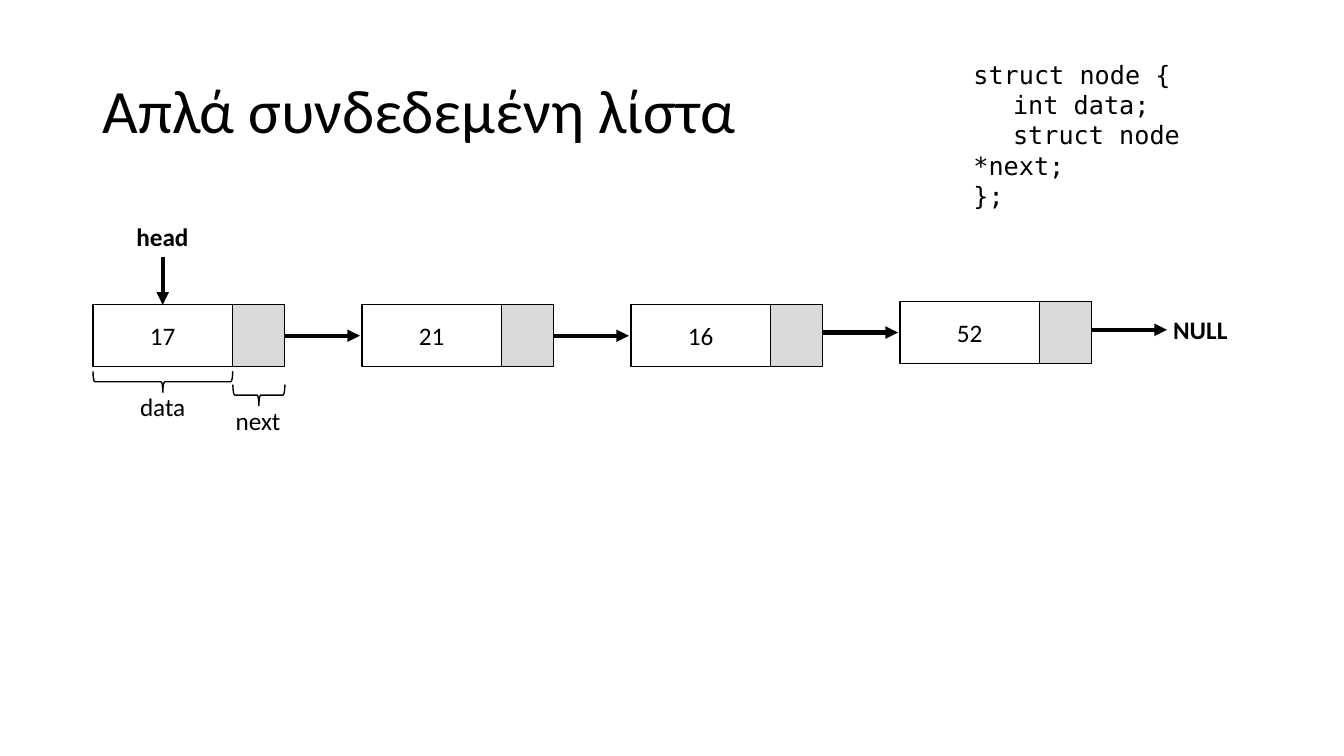
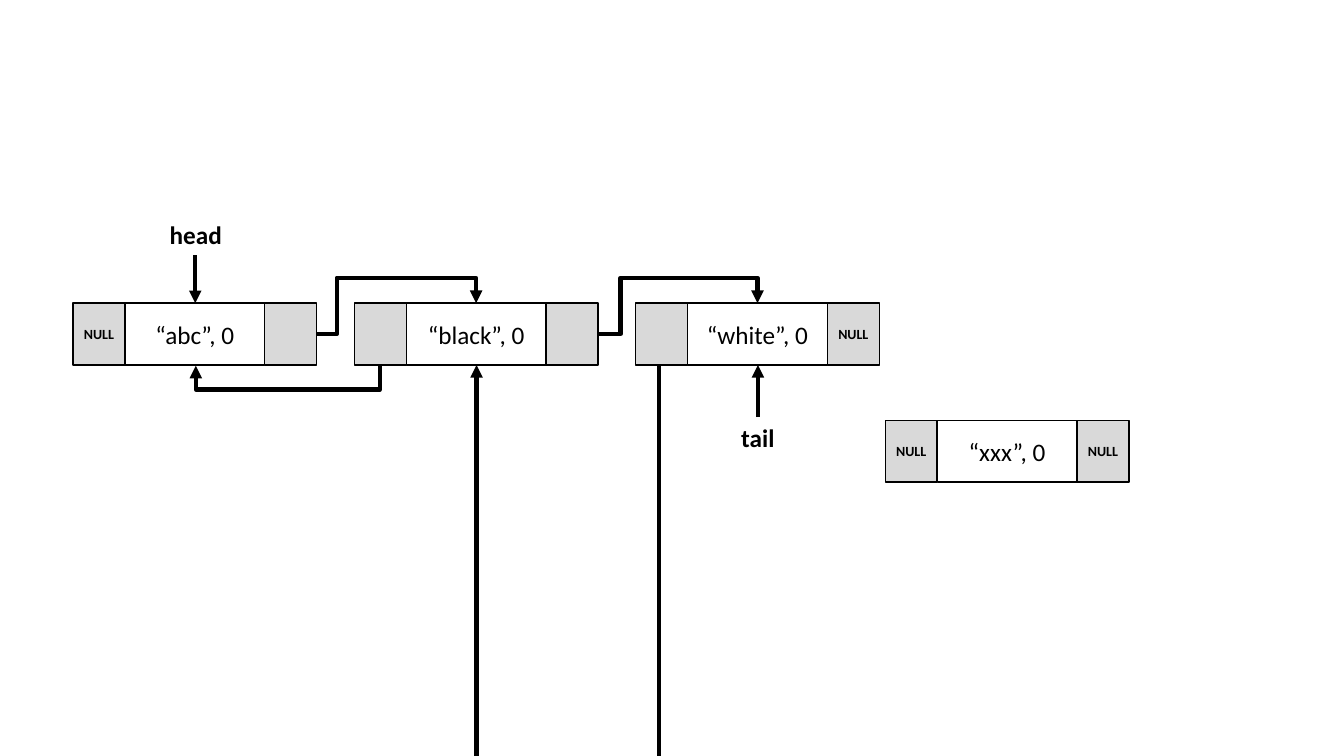
from lxml import etree
from pptx import Presentation
from pptx.dml.color import RGBColor
from pptx.enum.shapes import MSO_CONNECTOR, MSO_SHAPE
from pptx.enum.text import MSO_ANCHOR, MSO_AUTO_SIZE, PP_ALIGN
from pptx.oxml.ns import qn
from pptx.util import Cm, Pt

RECTANGLE, BRACE = MSO_SHAPE.RECTANGLE, MSO_SHAPE.LEFT_BRACE
STRAIGHT, ELBOW = MSO_CONNECTOR.STRAIGHT, MSO_CONNECTOR.ELBOW
LEFT, CENTER = PP_ALIGN.LEFT, PP_ALIGN.CENTER
TOP, MIDDLE = MSO_ANCHOR.TOP, MSO_ANCHOR.MIDDLE
NO_FIT = MSO_AUTO_SIZE.NONE
BLACK, WHITE, GRAY = "000000", "FFFFFF", "D9D9D9"
BODY_FONT, CODE_FONT = "Calibri", "DejaVu Sans Mono"
DATA_WIDTH, POINTER_WIDTH, NODE_HEIGHT = 3.52, 1.31, 1.56
TOP_SITE, BOTTOM_SITE, RIGHT_SITE = 0, 2, 3


def write_text(shape, lines, size=18, bold=False, font=BODY_FONT, alignment=CENTER,
               anchor=MIDDLE, wrap=True):
    frame = shape.text_frame
    frame.text = "\n".join(lines)
    for name, value in {"word_wrap": wrap, "auto_size": NO_FIT,
                        "vertical_anchor": anchor}.items():
        setattr(frame, name, value)
    for paragraph in frame.paragraphs:
        paragraph.alignment = alignment
        for name, value in {"name": font, "size": Pt(size), "bold": bold}.items():
            setattr(paragraph.font, name, value)
        paragraph.font.color.rgb = RGBColor.from_string(BLACK)


def style_connector(connector, arrowhead=True):
    connector.line.width = Pt(3)
    connector.line.color.rgb = RGBColor.from_string(BLACK)
    properties = connector.element.spPr
    if arrowhead:
        outline = properties.find(qn("a:ln"))
        etree.SubElement(outline, qn("a:tailEnd"), type="triangle")
    etree.SubElement(properties, qn("a:effectLst"))


presentation = Presentation()
presentation.slide_width, presentation.slide_height = Cm(33.87), Cm(19.05)
layouts = presentation.slide_layouts
single_list = presentation.slides.add_slide(layouts[5])
double_list = presentation.slides.add_slide(layouts[6])

title = single_list.shapes.title
for name, value in {"left": 2.33, "top": 1.01, "width": 29.21, "height": 3.68}.items():
    setattr(title, name, Cm(value))
write_text(title, ["Απλά συνδεδεμένη λίστα"], size=44, alignment=LEFT)
title.text_frame.paragraphs[0].line_spacing = 0.9

code = single_list.shapes.add_textbox(Cm(24.28), Cm(1.37), Cm(7.85), Cm(3.33))
write_text(code, ["struct node {", "int data;", "struct node *next;", "};"],
           font=CODE_FONT, alignment=LEFT, anchor=TOP)
for paragraph in code.text_frame.paragraphs[1:3]:
    paragraph.font.language_id = None
    paragraph._p.get_or_add_pPr().set("indent", str(Cm(1)))

nodes = [(single_list, 2.34 + 6.78 * index, top, [(value, True), ("", False)])
         for index, (value, top) in enumerate(
             [("17", 7.68), ("21", 7.68), ("16", 7.68), ("52", 7.6)])]
nodes += [(double_list, left, top, [(previous, False), (value, True), (following, False)])
          for left, top, previous, value, following in [
              (1.84, 7.64, "NULL", "“abc”, 0", ""),
              (8.93, 7.64, "", "“black”, 0", ""),
              (16.02, 7.64, "", "“white”, 0", "NULL"),
              (22.31, 10.59, "NULL", "“xxx”, 0", "NULL")]]

node_cells = []
for slide, left, top, cells in nodes:
    group = slide.shapes.add_group_shape()
    shapes = []
    for text, is_data in cells:
        width = DATA_WIDTH if is_data else POINTER_WIDTH
        cell = group.shapes.add_shape(RECTANGLE, Cm(left), Cm(top), Cm(width), Cm(NODE_HEIGHT))
        cell.shadow.inherit = False
        cell.fill.solid()
        cell.fill.fore_color.rgb = RGBColor.from_string(WHITE if is_data else GRAY)
        cell.line.color.rgb = RGBColor.from_string(BLACK)
        cell.line.width = Pt(1)
        cell.text_frame.margin_left = cell.text_frame.margin_right = 0
        if text:
            write_text(cell, [text], size=18 if is_data else 10, bold=not is_data)
        shapes.append(cell)
        left += width
    node_cells.append(shapes)

for left, top, width, height in [(3.84, 7.86, 0.53, 3.52), (6.26, 9.3, 0.53, 1.31)]:
    brace = single_list.shapes.add_shape(BRACE, Cm(left), Cm(top), Cm(width), Cm(height))
    brace.rotation = 270
    brace.shadow.inherit = False
    brace.fill.background()
    brace.line.color.rgb = RGBColor.from_string(BLACK)
    brace.line.width = Pt(1)

labels = [
    (single_list, "NULL", 29.31, 7.8, 1.88, True),
    (single_list, "head", 3.18, 5.44, 1.83, True),
    (single_list, "data", 3.25, 9.73, 1.7, False),
    (single_list, "next", 5.68, 10.1, 1.65, False),
    (double_list, "head", 4.02, 5.39, 1.83, True),
    (double_list, "tail", 18.4, 10.51, 1.4, True),
]
for slide, text, left, top, width, bold in labels:
    label = slide.shapes.add_textbox(Cm(left), Cm(top), Cm(width), Cm(1.02))
    write_text(label, [text], bold=bold, anchor=TOP, wrap=False)

arrows = [(single_list, 7.17 + 6.78 * index, y, 9.07 + 6.78 * index, y, True)
          for index, y in enumerate([8.46, 8.46, 8.38, 8.31])]
arrows += [
    (single_list, 4.1, 6.48, 4.1, 7.68, True),
    (double_list, 4.92, 6.43, 4.92, 7.64, True),
    (double_list, 19.1, 10.51, 19.1, 9.2, True),
    (double_list, 16.6, 9.2, 16.6, 19.05, False),
    (double_list, 12.01, 19.05, 12.01, 9.2, True),
]
for slide, begin_x, begin_y, end_x, end_y, arrowhead in arrows:
    arrow = slide.shapes.add_connector(STRAIGHT, Cm(begin_x), Cm(begin_y), Cm(end_x), Cm(end_y))
    style_connector(arrow, arrowhead)

abc, black, white = node_cells[4:7]
links = [
    (abc[2], RIGHT_SITE, black[1], TOP_SITE, "bentConnector4", [12600, 181600]),
    (black[2], RIGHT_SITE, white[1], TOP_SITE, "bentConnector4", [14100, 181600]),
    (black[0], BOTTOM_SITE, abc[1], BOTTOM_SITE, "bentConnector3", [2100000]),
]
for begin, begin_site, end, end_site, preset, adjustments in links:
    link = double_list.shapes.add_connector(ELBOW, Cm(1), Cm(1), Cm(2), Cm(2))
    link.begin_connect(begin, begin_site)
    link.end_connect(end, end_site)
    style_connector(link)
    geometry = link.element.spPr.find(qn("a:prstGeom"))
    geometry.set("prst", preset)
    values = geometry.find(qn("a:avLst"))
    for number, value in enumerate(adjustments, 1):
        guide_name = f"adj{number}" if len(adjustments) > 1 else "adj1"
        etree.SubElement(values, qn("a:gd"), name=guide_name, fmla=f"val {value}")

back_link = {"begin_x": 7.24, "begin_y": 6.88, "end_x": 7.27, "end_y": 11.52}
for name, value in back_link.items():
    setattr(link, name, Cm(value))
link.rotation = 90

presentation.save("out.pptx")
